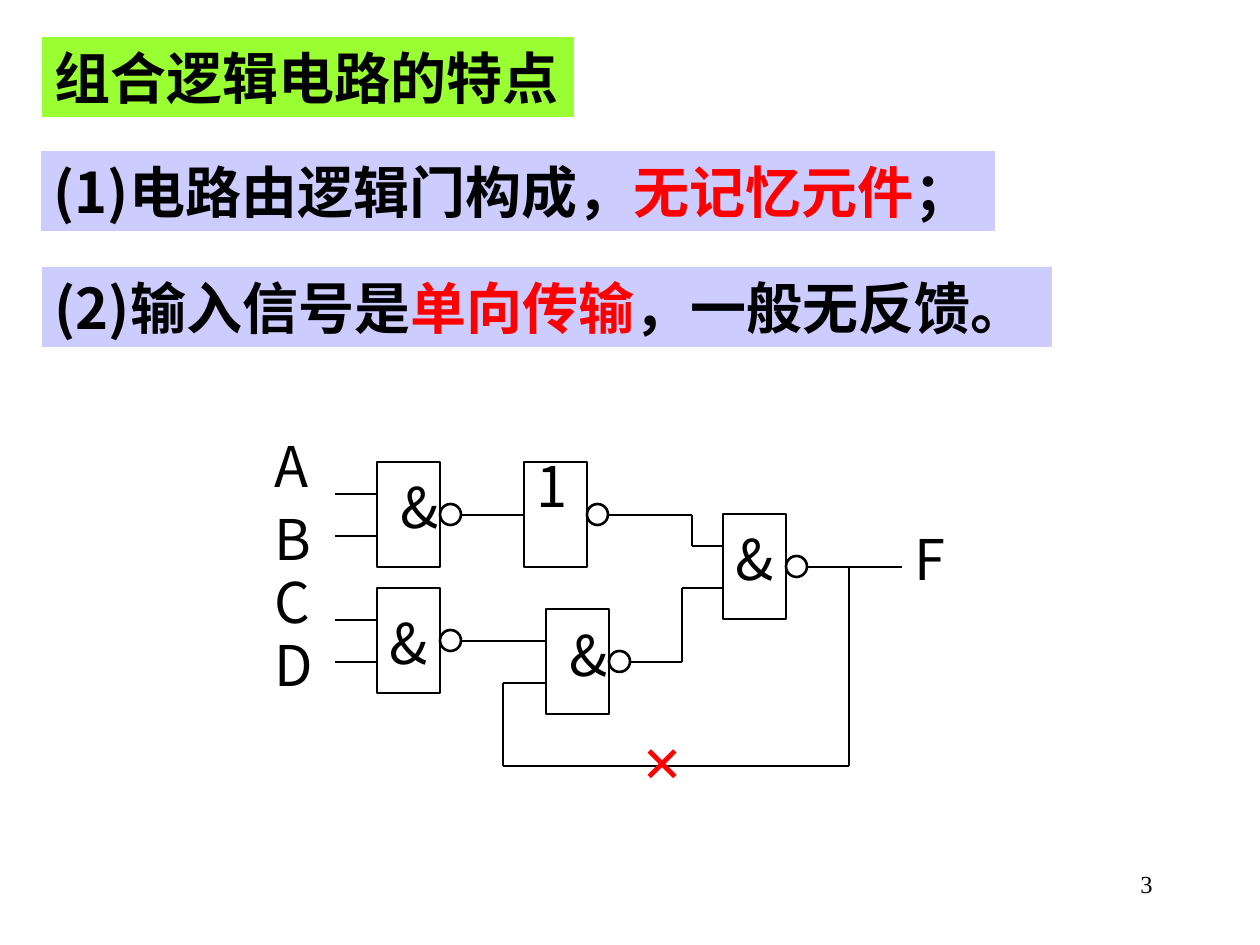
from itertools import pairwise
from pptx import Presentation
from pptx.dml.color import RGBColor as Rgb
from pptx.enum.shapes import MSO_CONNECTOR as Link, MSO_SHAPE as Kind
from pptx.enum.text import MSO_ANCHOR as Anchor, MSO_AUTO_SIZE as Fit, PP_ALIGN as Align
from pptx.oxml.ns import qn
from pptx.util import Pt
from lxml.etree import SubElement as Sub

PX = 914400 / 126
SANS = "Noto Sans CJK SC"
SERIF = "Times New Roman"
HUES = {"ink": "000000", "red": "FF0000", "lime": "99FF33", "lilac": "CCCCFF"}


def emu(*nums):
    return [round(n * PX) for n in nums]


def hue(name):
    return Rgb.from_string(HUES[name])


def write(shape, parts, size=32, face=SANS, bold=False, align=Align.LEFT):
    frame = shape.text_frame
    frame.auto_size = Fit.NONE
    frame.word_wrap = False
    frame.vertical_anchor = Anchor.MIDDLE
    para = frame.paragraphs[0]
    para.alignment = align
    para.space_before = Pt(0)
    props = para._p.get_or_add_pPr()
    props.set("marL", "0")
    props.set("indent", "0")
    Sub(props, qn("a:buNone"))
    font = para.font
    font.size = Pt(size)
    font.bold = bold
    font.name = face
    font.color.rgb = hue("ink")
    Sub(props.find(qn("a:defRPr")), qn("a:ea"), typeface=face)
    for text, tone in parts:
        run = para.add_run()
        run.text = text
        if tone != "ink":
            run.font.color.rgb = hue(tone)


def banner(holder, box, fill, parts):
    holder.left, holder.top, holder.width, holder.height = emu(*box)
    holder.fill.solid()
    holder.fill.fore_color.rgb = hue(fill)
    write(holder, parts, bold=True)


def label(slide, box, text, tone="ink", **style):
    write(slide.shapes.add_textbox(*emu(*box)), [(text, tone)], **style)


def outline(slide, kind, box):
    shape = slide.shapes.add_shape(kind, *emu(*box))
    shape.shadow.inherit = False
    shape.fill.background()
    shape.line.color.rgb = hue("ink")
    shape.line.width = Pt(1.5)


def wire(slide, left, top, points):
    for (x1, y1), (x2, y2) in pairwise(points):
        ends = emu(left + x1, top + y1, left + x2, top + y2)
        line = slide.shapes.add_connector(Link.STRAIGHT, *ends)
        line.line.color.rgb = hue("ink")
        line.line.width = Pt(1.5)
        Sub(line._element.spPr, qn("a:effectLst"))


def gate(slide, left, top, sign, dx, dy):
    outline(slide, Kind.RECTANGLE, (left, top, 63, 105))
    outline(slide, Kind.OVAL, (left + 63, top + 42, 21, 21))
    label(slide, (left + dx, top + dy, 53, 79), sign)


def circuit(slide, left, top):
    wires = [[(73, y), (115, y)] for y in (68, 110, 194, 236)]
    wires += [
        [(199, 89), (262, 89)],
        [(199, 215), (284, 215)],
        [(346, 89), (430, 89), (430, 120), (461, 120)],
        [(367, 236), (420, 236), (420, 162), (461, 162)],
        [(546, 141), (640, 141)],
        [(284, 257), (241, 257), (241, 340), (587, 340), (587, 141)],
    ]
    for points in wires:
        wire(slide, left, top, points)
    gates = [
        (115, 36, "&", 11, 5),
        (115, 162, "&", 0, 15),
        (284, 183, "&", 11, 6),
        (461, 88, "&", 0, 5),
        (262, 36, "1", 0, -16),
    ]
    for x, y, sign, dx, dy in gates:
        gate(slide, left + x, top + y, sign, dx, dy)
    pins = [("A", 0, 0), ("B", 0, 73), ("C", 0, 136), ("D", 0, 199), ("F", 640, 93)]
    for name, x, y in pins:
        label(slide, (left + x, top + y, 53, 79), name)
    label(slide, (left + 368, top + 285, 96, 97), "×", "red", size=40, face=SERIF, bold=True)


def main():
    deck = Presentation()
    deck.slide_width, deck.slide_height = emu(1260, 945)
    slide = deck.slides.add_slide(deck.slide_layouts[3])
    title, first, second = slide.placeholders
    banner(title, (42, 37, 532, 80), "lime", [("组合逻辑电路的特点", "ink")])
    banner(first, (41, 151, 954, 80), "lilac",
           [("(1)电路由逻辑门构成，", "ink"), ("无记忆元件", "red"), ("；", "ink")])
    banner(second, (42, 267, 1010, 80), "lilac",
           [("(2)输入信号是", "ink"), ("单向传输", "red"), ("，一般无反馈。", "ink")])
    circuit(slide, 262, 426)
    label(slide, (903, 861, 262, 45), "3", size=14, face=SERIF, align=Align.RIGHT)
    deck.save("out.pptx")


if __name__ == "__main__":
    main()
